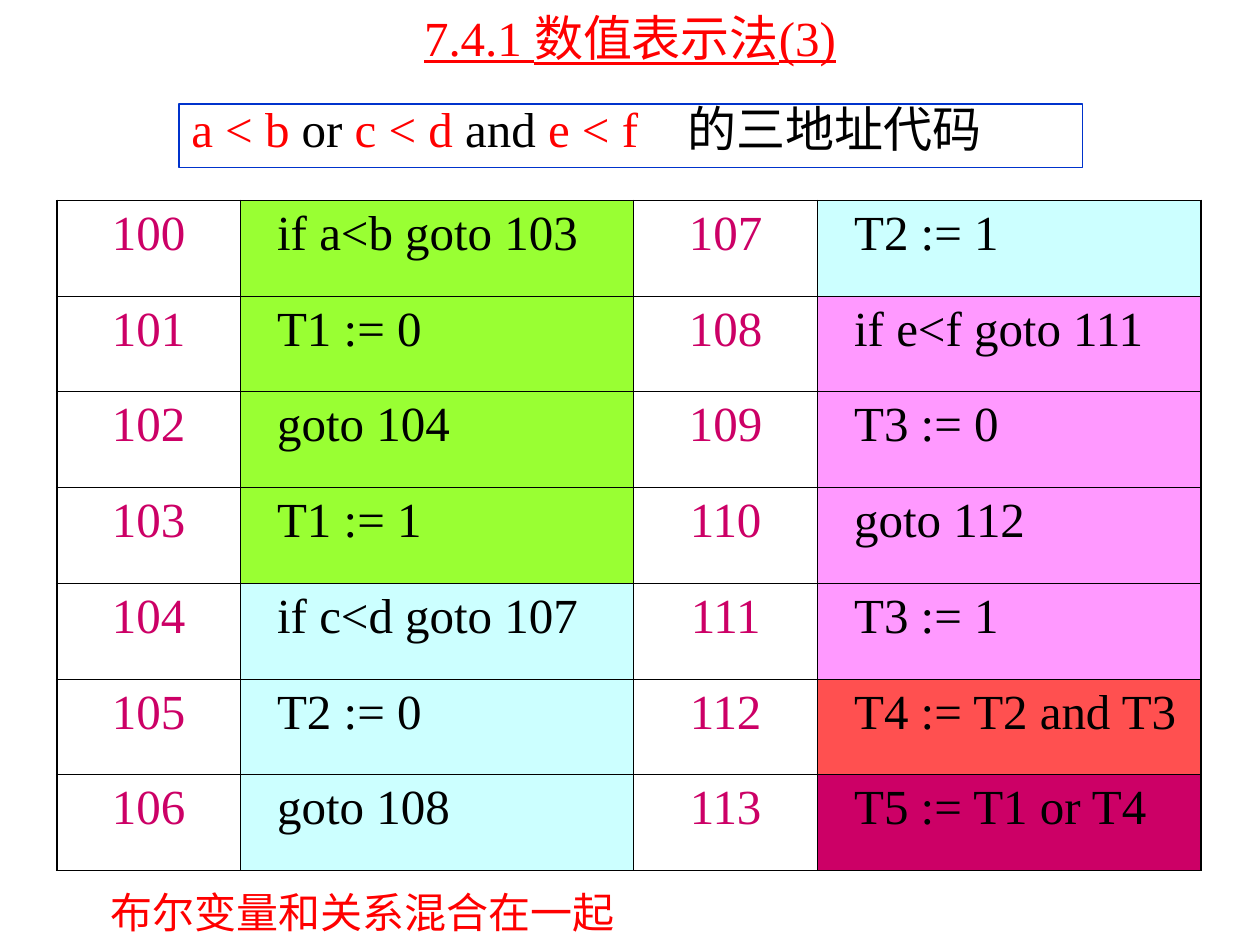
from typing import NamedTuple, Optional

from lxml import etree
from pptx import Presentation
from pptx import util as u
from pptx.dml.color import RGBColor
from pptx.enum import shapes, text
from pptx.oxml.ns import qn

RED = RGBColor(0xFF, 0x00, 0x00)
BLACK = RGBColor(0x00, 0x00, 0x00)
BLUE = RGBColor(0x00, 0x33, 0xCC)
CRIMSON = RGBColor(0xCC, 0x00, 0x66)
GREEN = RGBColor(0x99, 0xFF, 0x33)
CYAN = RGBColor(0xCC, 0xFF, 0xFF)
PINK = RGBColor(0xFF, 0x99, 0xFF)
CORAL = RGBColor(0xFF, 0x50, 0x50)

FONT = "Times New Roman"
W, H = u.Inches(10), u.Inches(7.5)
FIRST_ADDRESS = 100
ROWS = 7
COLUMN_WIDTHS = (1.46, 3.12, 1.46, 3.04)
ROW_HEIGHT = 0.76
INNER, OUTER = 0.45, 1.08  # border widths in points


class Box(NamedTuple):
    """Place as shares of the slide's width and height."""
    x: float
    y: float
    w: float
    h: float

    def emu(self) -> tuple:
        return int(self.x * W), int(self.y * H), int(self.w * W), int(self.h * H)


class Instruction(NamedTuple):
    code: str
    fill: RGBColor


INSTRUCTIONS = (
    Instruction("if a<b goto 103", GREEN),
    Instruction("T1 := 0", GREEN),
    Instruction("goto 104", GREEN),
    Instruction("T1 := 1", GREEN),
    Instruction("if c<d goto 107", CYAN),
    Instruction("T2 := 0", CYAN),
    Instruction("goto 108", CYAN),
    Instruction("T2 := 1", CYAN),
    Instruction("if e<f goto 111", PINK),
    Instruction("T3 := 0", PINK),
    Instruction("goto 112", PINK),
    Instruction("T3 := 1", PINK),
    Instruction("T4 := T2 and T3", CORAL),
    Instruction("T5 := T1 or T4", CRIMSON),
)


def add_run(p, content: str, *, color: RGBColor = BLACK, size: float = 28,
            underline: Optional[bool] = None) -> None:
    r = p.add_run()
    r.text = content
    r.font.name, r.font.size = FONT, u.Pt(size)
    r.font.color.rgb = color
    r.font.underline = underline


def add_label(s, box: Box, content: str, *, wrap: bool = True,
              align=text.PP_ALIGN.LEFT, anchor=text.MSO_ANCHOR.TOP, **fmt) -> None:
    tf = s.shapes.add_textbox(*box.emu()).text_frame
    tf.word_wrap, tf.vertical_anchor = wrap, anchor
    p = tf.paragraphs[0]
    p.alignment = align
    add_run(p, content, **fmt)


def add_expression(s, box: Box) -> None:
    sp = s.shapes.add_shape(shapes.MSO_SHAPE.RECTANGLE, *box.emu())
    sp.shadow.inherit = False
    sp.fill.background()
    sp.line.color.rgb, sp.line.width = BLUE, u.Pt(0.75)
    tf = sp.text_frame
    tf.word_wrap, tf.vertical_anchor = True, text.MSO_ANCHOR.TOP
    p = tf.paragraphs[0]
    p.alignment, p.line_spacing = text.PP_ALIGN.LEFT, 0.8
    # A tab stop sets the gap before the closing words
    tabs = etree.SubElement(p._p.get_or_add_pPr(), qn("a:tabLst"))
    etree.SubElement(tabs, qn("a:tab"), pos=str(u.Inches(3.94)), algn="l")
    for content, color in (("a < b", RED), (" or ", BLACK), ("c < d", RED),
                           (" and ", BLACK), ("e < f", RED),
                           ("\t的三地址代码", BLACK)):
        add_run(p, content, color=color)


def set_borders(cell, row: int, col: int) -> None:
    on_edge = {"L": col == 0, "R": col == len(COLUMN_WIDTHS) - 1,
               "T": row == 0, "B": row == ROWS - 1}
    tc_pr = cell._tc.get_or_add_tcPr()
    for side, outer in on_edge.items():
        ln = etree.SubElement(tc_pr, qn(f"a:ln{side}"),
                              w=str(u.Pt(OUTER if outer else INNER)))
        fill = etree.SubElement(ln, qn("a:solidFill"))
        etree.SubElement(fill, qn("a:srgbClr"), val=str(BLACK))


def fill_cell(table, row: int, col: int, content: str, *, color: RGBColor,
              fill: Optional[RGBColor] = None, align=text.PP_ALIGN.LEFT,
              indent: float = 0.1) -> None:
    cell = table.cell(row, col)
    set_borders(cell, row, col)
    if fill is None:
        cell.fill.background()
    else:
        cell.fill.solid()
        cell.fill.fore_color.rgb = fill
    cell.margin_left = u.Inches(indent)
    p = cell.text_frame.paragraphs[0]
    p.alignment = align
    add_run(p, content, color=color)


def add_code_table(s, left: float, top: float) -> None:
    table = s.shapes.add_table(
        ROWS, len(COLUMN_WIDTHS), u.Inches(left), u.Inches(top),
        u.Inches(sum(COLUMN_WIDTHS)), u.Inches(ROWS * ROW_HEIGHT)).table
    table.first_row = table.horz_banding = False
    for column, width in zip(table.columns, COLUMN_WIDTHS):
        column.width = u.Inches(width)
    for row in table.rows:
        row.height = u.Inches(ROW_HEIGHT)
    # Addresses run down the left pair of columns, then the right pair
    for i, instruction in enumerate(INSTRUCTIONS):
        pair, row = divmod(i, ROWS)
        fill_cell(table, row, 2 * pair, str(FIRST_ADDRESS + i),
                  color=CRIMSON, align=text.PP_ALIGN.CENTER)
        fill_cell(table, row, 2 * pair + 1, instruction.code,
                  color=BLACK, fill=instruction.fill, indent=0.29)


def main() -> None:
    prs = Presentation()
    prs.slide_width, prs.slide_height = W, H
    s = prs.slides.add_slide(prs.slide_layouts[6])

    # Expression and its three-address code
    add_expression(s, Box(0.142, 0.11, 0.717, 0.067))
    add_code_table(s, 0.45, 1.59)

    # Title and closing remark
    add_label(s, Box(0.075, 0, 0.85, 0.077), "7.4.1 数值表示法(3)", color=RED,
              underline=True, align=text.PP_ALIGN.CENTER,
              anchor=text.MSO_ANCHOR.MIDDLE)
    add_label(s, Box(0.078, 0.932, 0.42, 0.067), "布尔变量和关系混合在一起",
              color=RED, size=24, wrap=False)
    prs.save("out.pptx")


if __name__ == "__main__":
    main()
